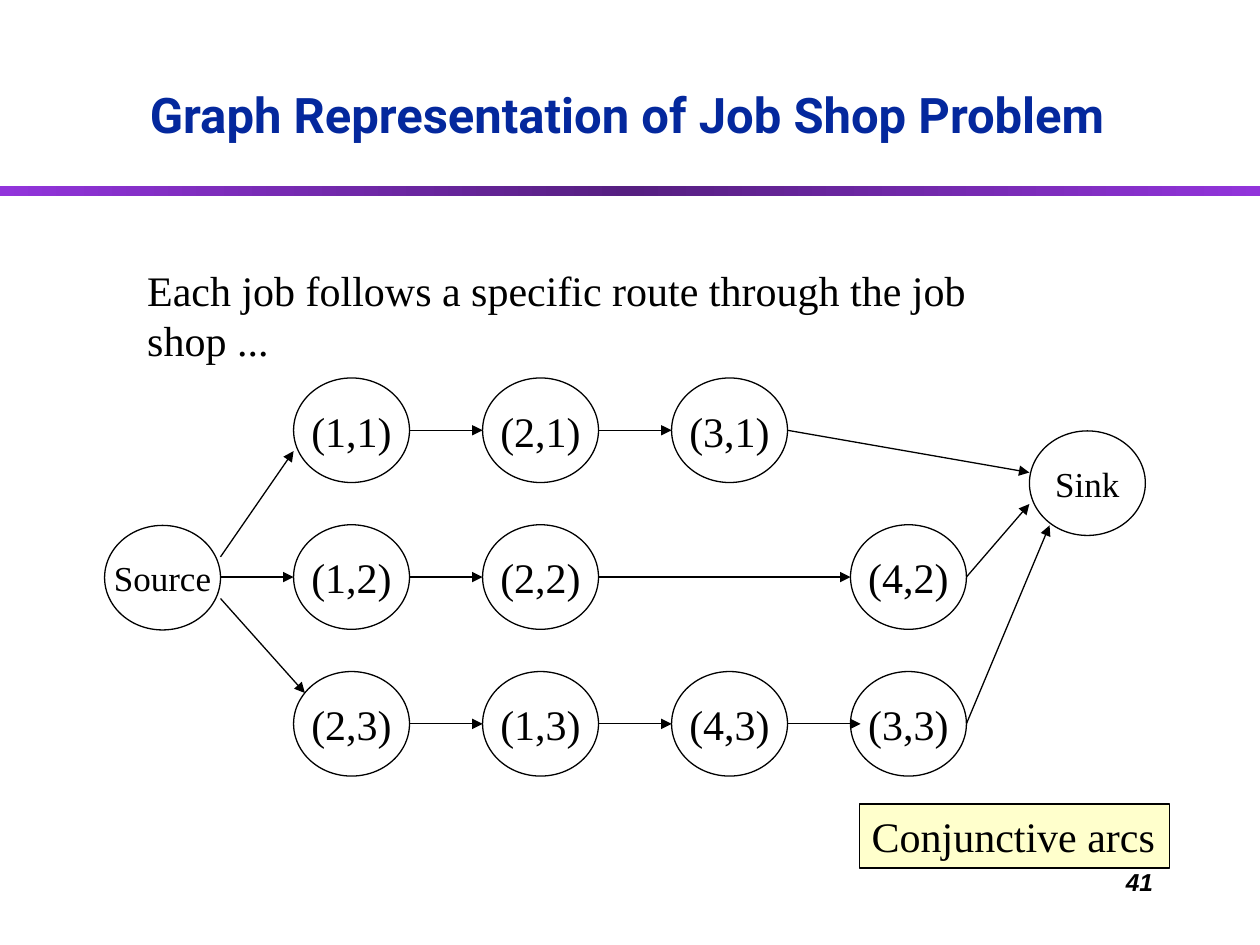
from copy import deepcopy

from lxml import etree
from pptx import Presentation
from pptx.dml.color import RGBColor
from pptx.enum.shapes import MSO_CONNECTOR, MSO_SHAPE
from pptx.enum.text import MSO_ANCHOR, PP_ALIGN
from pptx.oxml.ns import qn
from pptx.util import Inches, Pt

ELLIPSE, RECTANGLE = MSO_SHAPE.OVAL, MSO_SHAPE.RECTANGLE
STRAIGHT = MSO_CONNECTOR.STRAIGHT
LEFT, CENTER, RIGHT = PP_ALIGN.LEFT, PP_ALIGN.CENTER, PP_ALIGN.RIGHT
TOP, MIDDLE, BOTTOM = MSO_ANCHOR.TOP, MSO_ANCHOR.MIDDLE, MSO_ANCHOR.BOTTOM

COLORS = {"ink": "000000", "title": "04289D", "note": "FFFFCC",
          "bar_edge": "9234DB", "bar_middle": "561F81"}
SERIF = "Times New Roman"

# Content: each job is a route of (column, operation) pairs
TITLE = "Graph Representation of Job Shop Problem"
INTRO = "Each job follows a specific route through the job shop ..."
NOTE = "Conjunctive arcs"
PAGE_NUMBER = "41"
JOBS = [
    [(0, "(1,1)"), (1, "(2,1)"), (2, "(3,1)")],
    [(0, "(1,2)"), (1, "(2,2)"), (3, "(4,2)")],
    [(0, "(2,3)"), (1, "(1,3)"), (2, "(4,3)"), (3, "(3,3)")],
]

# Graph geometry in inches
NODE_WIDTH, NODE_HEIGHT = 0.92, 0.83
COLUMN_LEFTS = [2.33, 3.83, 5.33, 6.75]
ROW_TOP, ROW_STEP = 3, 1.165
SOURCE_AT, SINK_AT = (0.83, 4.17), (8.17, 3.42)
LAST_ARROW_OVERLAP = 0.08
SOURCE_ARCS = [((1.75, 4.42), (2.33, 3.58)),
               ((1.75, 4.58), (2.33, 4.58)),
               ((1.75, 4.75), (2.42, 5.5))]
SINK_ENDS = [(8.17, 3.75), (8.17, 4), (8.33, 4.17)]


def rgb(name):
    return RGBColor.from_string(COLORS[name])


def write(shape, text, size=24, font=SERIF, color="ink", bold=False,
          italic=False, align=LEFT, anchor=TOP, wrap=False):
    frame = shape.text_frame
    frame.word_wrap = wrap
    frame.vertical_anchor = anchor
    paragraph = frame.paragraphs[0]
    paragraph.alignment = align
    run = paragraph.add_run()
    run.text = text
    run.font.size, run.font.name = Pt(size), font
    run.font.bold, run.font.italic = bold, italic
    run.font.color.rgb = rgb(color)


def add_box(slide, kind, left, top, width, height, fill=None):
    shape = slide.shapes.add_shape(
        kind, Inches(left), Inches(top), Inches(width), Inches(height))
    shape.shadow.inherit = False
    if fill:
        shape.fill.solid()
        shape.fill.fore_color.rgb = rgb(fill)
    else:
        shape.fill.background()
    shape.line.color.rgb = rgb("ink")
    shape.line.width = Pt(0.75)
    return shape


def add_node(slide, left, top, text, size=24):
    node = add_box(slide, ELLIPSE, left, top, NODE_WIDTH, NODE_HEIGHT)
    write(node, text, size=size, align=CENTER, anchor=MIDDLE)


def add_arc(slide, start, end):
    arc = slide.shapes.add_connector(
        STRAIGHT, *(Inches(value) for value in (*start, *end)))
    arc.line.color.rgb = rgb("ink")
    arc.line.width = Pt(0.75)
    etree.SubElement(arc.line._get_or_add_ln(), qn("a:tailEnd"), type="triangle")
    etree.SubElement(arc._element.spPr, qn("a:effectLst"))


def add_text_box(slide, left, top, width, height):
    return slide.shapes.add_textbox(
        Inches(left), Inches(top), Inches(width), Inches(height))


def add_gradient_bar(slide):
    bar = add_box(slide, RECTANGLE, 0, 1.48, 10, 0.08)
    bar.line.fill.background()
    bar.fill.gradient()
    bar.fill.gradient_angle = 0
    for stop in bar.fill.gradient_stops:
        stop.color.rgb = rgb("bar_edge")
    first = bar._element.spPr.find(".//" + qn("a:gs"))
    middle = deepcopy(first)
    middle.set("pos", "50000")
    middle.find(qn("a:srgbClr")).set("val", COLORS["bar_middle"])
    first.addnext(middle)


def add_graph(slide):
    for row, route in enumerate(JOBS):
        top = ROW_TOP + row * ROW_STEP
        center = top + NODE_HEIGHT / 2
        for column, text in route:
            add_node(slide, COLUMN_LEFTS[column], top, text)

        # Arcs between neighbouring operations of the job
        for (column, _), (following, _) in zip(route, route[1:]):
            end = COLUMN_LEFTS[following]
            if following == column + 1 == 3:
                end += LAST_ARROW_OVERLAP
            add_arc(slide, (COLUMN_LEFTS[column] + NODE_WIDTH, center), (end, center))

        # Arcs from the source and into the sink
        add_arc(slide, *SOURCE_ARCS[row])
        last_column = route[-1][0]
        add_arc(slide, (COLUMN_LEFTS[last_column] + NODE_WIDTH, center), SINK_ENDS[row])

    add_node(slide, *SOURCE_AT, "Source", size=20)
    add_node(slide, *SINK_AT, "Sink", size=20)


def main():
    presentation = Presentation()
    presentation.slide_width, presentation.slide_height = Inches(10), Inches(7.5)
    slide = presentation.slides.add_slide(presentation.slide_layouts[5])

    # Heading
    add_gradient_bar(slide)
    title = slide.shapes.title
    title.left, title.top = Inches(0.17), Inches(0.5)
    title.width, title.height = Inches(9.61), Inches(0.69)
    write(title, TITLE, size=28, font="Roboto", color="title", bold=True,
          align=CENTER, anchor=BOTTOM, wrap=True)

    # Introduction, wrapped before its last words
    intro = add_text_box(slide, 1.07, 2.05, 7.74, 0.5)
    intro.text_frame.margin_right = Inches(0.7)
    write(intro, INTRO, wrap=True)

    add_graph(slide)

    # Note and page number
    write(add_box(slide, RECTANGLE, 6.82, 6.38, 2.46, 0.51, fill="note"), NOTE)
    write(add_text_box(slide, 7.17, 6.83, 2.08, 0.5), PAGE_NUMBER, size=14,
          font="Arial", bold=True, italic=True, align=RIGHT, wrap=True)

    presentation.save("out.pptx")


if __name__ == "__main__":
    main()
